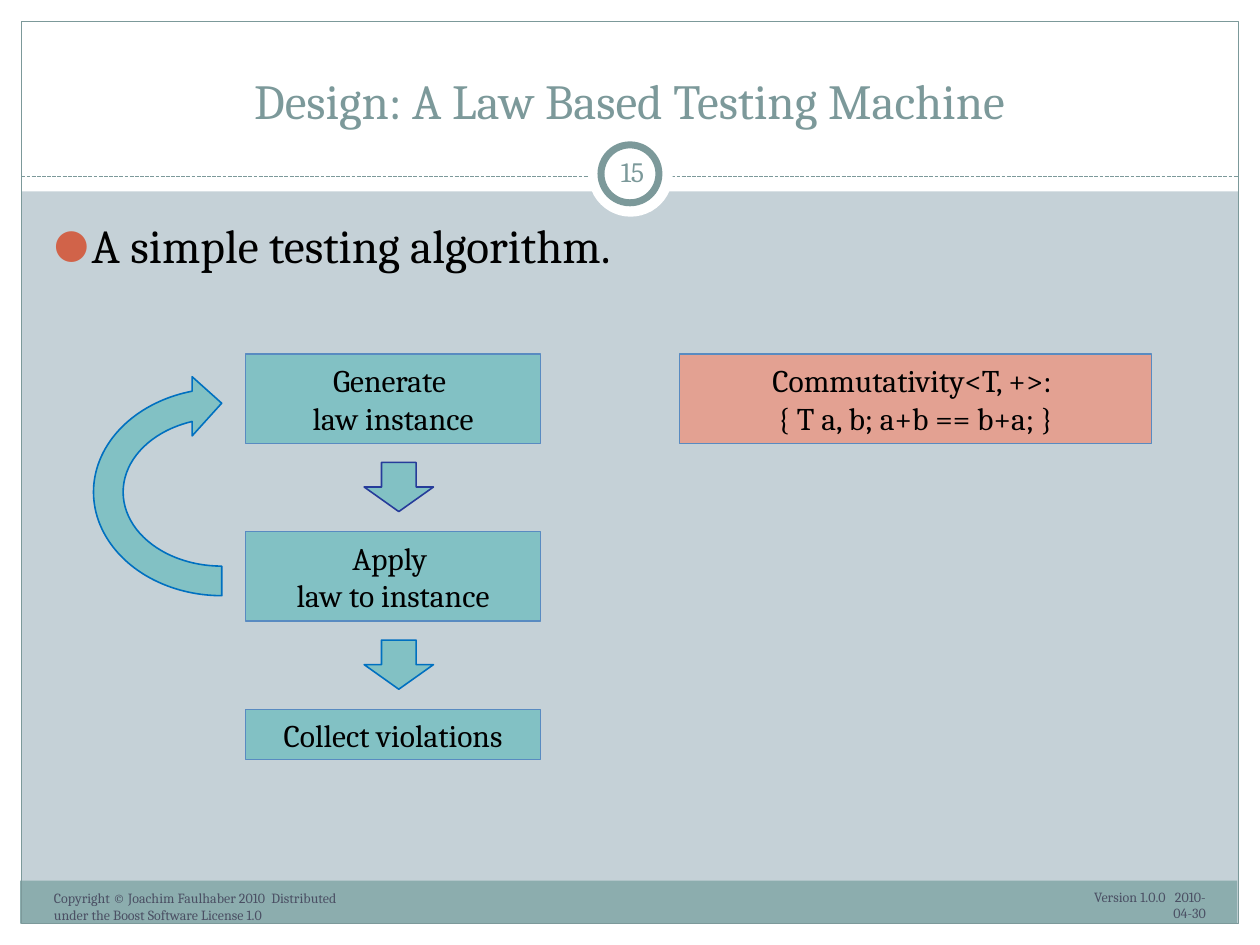
from lxml.etree import SubElement
from pptx import Presentation
from pptx.dml.color import RGBColor
from pptx.enum.dml import MSO_LINE
from pptx.enum.shapes import MSO_CONNECTOR, MSO_SHAPE as Kind
from pptx.enum.text import MSO_ANCHOR as Anchor, PP_ALIGN as Align
from pptx.oxml.ns import qn
from pptx.util import Inches, Pt

FONT = "Cambria"
WHITE = "FFFFFF"
BLACK = "000000"
SLATE = "7C999A"
TEAL = "82C1C4"
BLUE = "0070C0"
EDGE = "598BC1"
GREY = "4B5064"


def paint(fmt, color):
    fmt.solid()
    fmt.fore_color.rgb = RGBColor.from_string(color)


def write(shape, text, size, color, align=Align.LEFT, anchor=Anchor.TOP):
    frame = shape.text_frame
    frame.word_wrap = True
    frame.vertical_anchor = anchor
    frame.text = text
    para = frame.paragraphs[0]
    para.alignment = align
    para.font.name = FONT
    para.font.size = Pt(size)
    para.font.color.rgb = RGBColor.from_string(color)
    return para


def add_text(slide, box, *args):
    label = slide.shapes.add_textbox(*map(Inches, box))
    return write(label, *args)


def add_form(slide, kind, box, fill=None, line=None, width=0.75):
    form = slide.shapes.add_shape(kind, *map(Inches, box))
    form.shadow.inherit = False
    if fill:
        paint(form.fill, fill)
    else:
        form.fill.background()
    if line:
        paint(form.line.fill, line)
        form.line.width = Pt(width)
    else:
        form.line.fill.background()
    return form


def add_step(slide, box, text, fill=TEAL):
    form = add_form(slide, Kind.RECTANGLE, box, fill, EDGE)
    write(form, text, 18, BLACK, Align.CENTER, Anchor.MIDDLE)


def add_rule(slide, left, right, top):
    rule = slide.shapes.add_connector(
        MSO_CONNECTOR.STRAIGHT, *map(Inches, (left, top, right, top)))
    paint(rule.line.fill, SLATE)
    rule.line.width = Pt(0.75)
    rule.line.dash_style = MSO_LINE.SQUARE_DOT
    SubElement(rule._element.spPr, qn("a:effectLst"))


def add_bullet(para, color, indent):
    props = para._p.get_or_add_pPr()
    props.set("marL", str(Inches(indent)))
    props.set("indent", str(-Inches(indent)))
    tint = SubElement(props, qn("a:buClr"))
    SubElement(tint, qn("a:srgbClr"), val=color)
    SubElement(props, qn("a:buSzPct"), val="85000")
    SubElement(props, qn("a:buFont"), typeface=FONT)
    SubElement(props, qn("a:buChar"), char="●")


def add_frame(slide):
    paint(slide.background.fill, "C5D1D7")
    for box in ((0, 7.33, 10, 0.17), (0, 0, 10, 1.52),
                (0, 0, 0.17, 7.5), (9.83, 0, 0.17, 7.5)):
        add_form(slide, Kind.RECTANGLE, box, WHITE)
    add_form(slide, Kind.RECTANGLE, (0.16, 6.99, 9.66, 0.34), "8CADAE")
    add_form(slide, Kind.RECTANGLE, (0.17, 0.17, 9.66, 7.16), None, SLATE)
    add_rule(slide, 0.17, 9.83, 1.4)
    add_form(slide, Kind.OVAL, (4.67, 1.05, 0.67, 0.67), WHITE)
    add_form(slide, Kind.OVAL, (4.77, 1.15, 0.46, 0.46), WHITE, SLATE, 4)


def add_words(slide):
    add_text(slide, (0.33, 0.25, 9.33, 0.83),
             "Design: A Law Based Testing Machine",
             28, SLATE, Align.CENTER, Anchor.BOTTOM)
    point = add_text(slide, (0.33, 1.67, 9.3, 5),
                     "A simple testing algorithm.", 27, BLACK)
    add_bullet(point, "D16349", 0.3)
    add_text(slide, (0.33, 7.01, 2.64, 0.4),
             "Copyright © Joachim Faulhaber 2010  Distributed "
             "under the Boost Software License 1.0", 8, GREY)
    add_text(slide, (4.77, 1.12, 0.5, 0.48), "15",
             16, SLATE, Align.CENTER, Anchor.MIDDLE)
    add_text(slide, (8.52, 7, 1.15, 0.4), "Version 1.0.0   2010-04-30",
             8, GREY, Align.RIGHT)


def add_flow(slide):
    left, top, width, high, pitch = 1.95, 2.81, 2.34, 0.71, 1.41
    steps = (("Generate \vlaw instance", high),
             ("Apply \vlaw to instance", high),
             ("Collect violations", 0.4))
    for row, (text, height) in enumerate(steps):
        add_step(slide, (left, top + row * pitch, width, height), text)
    for row, color in enumerate(("263C9A", BLUE)):
        box = (2.89, top + 0.86 + row * pitch, 0.55, 0.39)
        add_form(slide, Kind.DOWN_ARROW, box, TEAL, color, 0.9)
    loop = add_form(slide, Kind.CIRCULAR_ARROW, (0.82, 2.77, 1.88, 2.27),
                    TEAL, BLUE, 0.9)
    loop.rotation = 270
    add_step(slide, (5.39, top, 3.75, high),
             "Commutativity<T, +>: \v{ T a, b; a+b == b+a; }", "E3A192")


def main():
    deck = Presentation()
    deck.slide_width, deck.slide_height = Inches(10), Inches(7.5)
    slide = deck.slides.add_slide(deck.slide_layouts[6])
    add_frame(slide)
    add_words(slide)
    add_flow(slide)
    deck.save("out.pptx")


if __name__ == "__main__":
    main()
